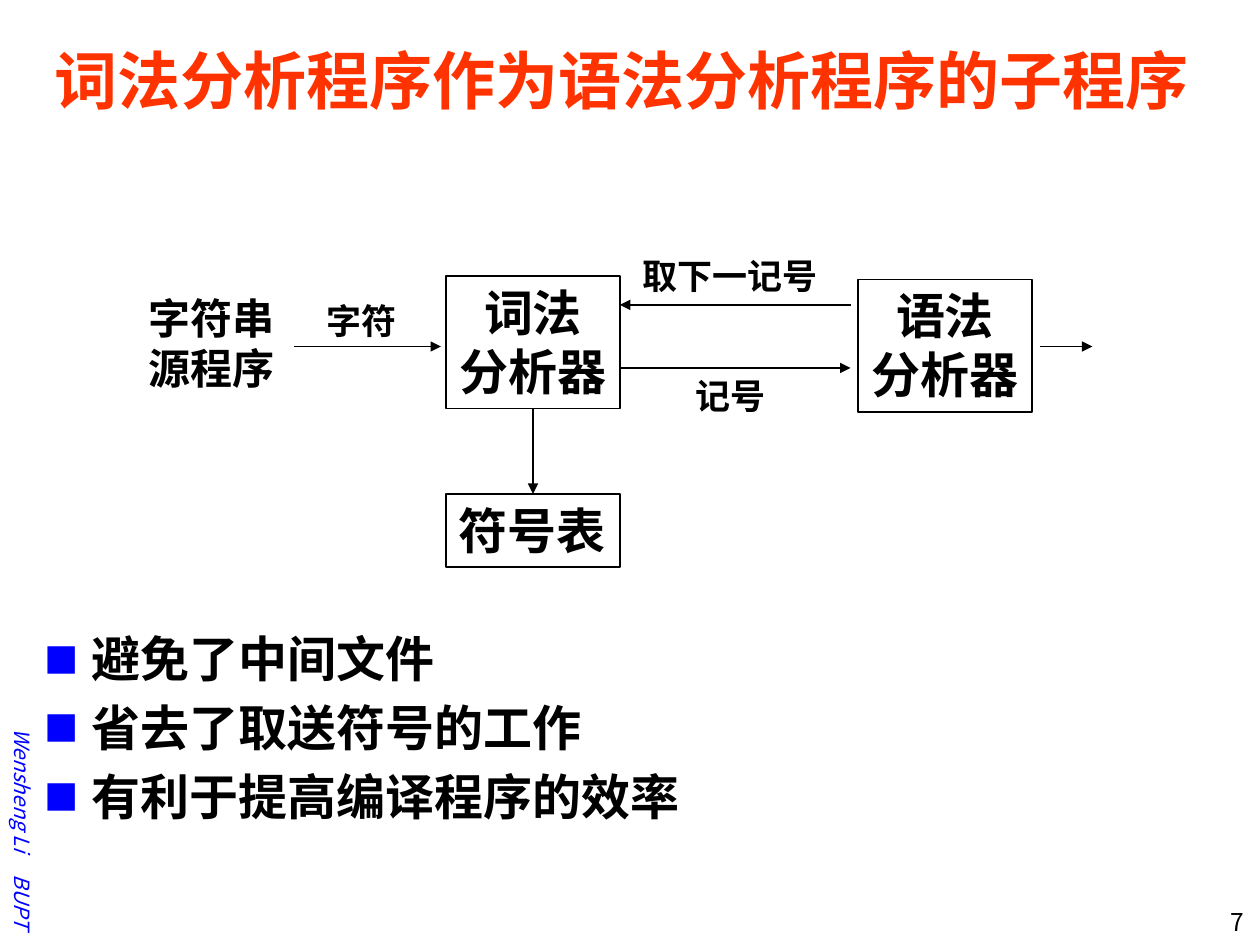
from lxml import etree
from pptx import Presentation
from pptx.dml.color import RGBColor
from pptx.enum import shapes, text
from pptx.oxml import ns
from pptx.util import Inches, Pt

BLACK = RGBColor(0x00, 0x00, 0x00)
BLUE = RGBColor(0x00, 0x00, 0xFF)
RED = RGBColor(0xFF, 0x33, 0x00)
SANS = "Noto Sans CJK SC"
SERIF = "Times New Roman"
LEFT, CENTER, RIGHT = text.PP_ALIGN.LEFT, text.PP_ALIGN.CENTER, text.PP_ALIGN.RIGHT
JUSTIFY = text.PP_ALIGN.JUSTIFY
TOP, MIDDLE = text.MSO_ANCHOR.TOP, text.MSO_ANCHOR.MIDDLE


def add_child(parent, tag, **attributes):
    return etree.SubElement(parent, ns.qn(tag), attributes)


def write_text(shape, lines, size, align=LEFT, font=SERIF, color=BLACK,
               bold=True, italic=False, anchor=TOP, wrap=False):
    frame = shape.text_frame
    frame.text = "\n".join(lines)
    frame.word_wrap = wrap
    frame.auto_size = text.MSO_AUTO_SIZE.NONE
    frame.vertical_anchor = anchor
    for paragraph in frame.paragraphs:
        paragraph.alignment = align
        paragraph.font.size = Pt(size)
        paragraph.font.bold = bold
        paragraph.font.italic = italic
        paragraph.font.color.rgb = color
        paragraph.font.name = font
        defaults = paragraph._p.get_or_add_pPr().get_or_add_defRPr()
        add_child(defaults, "a:ea", typeface=SANS)


def place(shape, left, top, width, height):
    shape.left, shape.top = Inches(left), Inches(top)
    shape.width, shape.height = Inches(width), Inches(height)


def add_label(slide, content, left, top, width, height, size, **style):
    label = slide.shapes.add_textbox(
        Inches(left), Inches(top), Inches(width), Inches(height))
    write_text(label, [content], size, **style)
    return label


def add_side_text(slide, content, bottom, width):
    center, height = 0.18, 0.3
    label = add_label(slide, content, center - width / 2,
                      bottom - width / 2 - height / 2, width, height, 12,
                      align=RIGHT, font=SANS, color=BLUE, bold=False,
                      italic=True, anchor=MIDDLE)
    label.rotation = 90


def add_box(slide, lines, left, top, height, align=CENTER):
    box = slide.shapes.add_shape(
        shapes.MSO_SHAPE.RECTANGLE,
        Inches(left), Inches(top), Inches(1.38), Inches(height))
    box.shadow.inherit = False
    box.fill.background()
    box.line.color.rgb = BLACK
    box.line.width = Pt(0.75)
    write_text(box, lines, 28, align)
    return box


def add_arrow(slide, x1, y1, x2, y2):
    arrow = slide.shapes.add_connector(
        shapes.MSO_CONNECTOR.STRAIGHT,
        Inches(x1), Inches(y1), Inches(x2), Inches(y2))
    arrow.line.color.rgb = BLACK
    arrow.line.width = Pt(0.75)
    add_child(arrow.line._get_or_add_ln(), "a:tailEnd", type="triangle")
    add_child(arrow._element.spPr, "a:effectLst")
    return arrow


def add_bullet(paragraph):
    properties = paragraph._p.get_or_add_pPr()
    properties.set("marL", str(Inches(0.38)))
    properties.set("indent", str(Inches(-0.38)))
    defaults = properties.get_or_add_defRPr()
    color = add_child(properties, "a:buClr")
    add_child(color, "a:srgbClr", val=str(BLUE))
    add_child(properties, "a:buSzPct", val="70000")
    add_child(properties, "a:buFont", typeface=SANS)
    add_child(properties, "a:buChar", char="■")
    properties.append(defaults)


def fill_placeholders(slide):
    title, body = slide.shapes.title, slide.placeholders[1]
    place(title, 0.33, 0.17, 9.42, 0.92)
    write_text(title, ["词法分析程序作为语法分析程序的子程序"], 36,
               font=SANS, color=RED, anchor=MIDDLE, wrap=True)
    place(body, 0.25, 4.94, 9.5, 2.06)
    write_text(body, ["避免了中间文件", "省去了取送符号的工作", "有利于提高编译程序的效率"],
               28, JUSTIFY, SANS, wrap=True)
    for paragraph in body.text_frame.paragraphs:
        add_bullet(paragraph)


def draw_diagram(slide):
    add_box(slide, ["语法", "分析器"], 6.81, 2.22, 1.05)
    lexer = add_box(slide, ["词法", "分析器"], 3.54, 2.19, 1.05)
    symbols = add_box(slide, ["符号表"], 3.54, 3.92, 0.58, LEFT)

    add_label(slide, "字符串", 1.08, 2.27, 1.21, 0.5, 24)
    add_label(slide, "源程序", 1.08, 2.67, 1.21, 0.5, 24)
    add_label(slide, "字符", 2.49, 2.33, 0.76, 0.43, 20)
    add_label(slide, "取下一记号", 5, 1.97, 1.6, 0.43, 20)
    add_label(slide, "记号", 5.42, 2.92, 0.76, 0.43, 20)

    add_arrow(slide, 2.33, 2.75, 3.5, 2.75)
    add_arrow(slide, 6.75, 2.42, 4.92, 2.42)
    add_arrow(slide, 4.92, 2.92, 6.75, 2.92)
    add_arrow(slide, 8.25, 2.75, 8.67, 2.75)
    lookup = add_arrow(slide, 4.23, 3.24, 4.23, 3.92)
    lookup.begin_connect(lexer, 2)
    lookup.end_connect(symbols, 0)


def main():
    presentation = Presentation()
    presentation.slide_width = Inches(10)
    presentation.slide_height = Inches(7.5)
    slide = presentation.slides.add_slide(presentation.slide_layouts[1])
    fill_placeholders(slide)
    draw_diagram(slide)
    add_side_text(slide, "Wensheng Li", 6.86, 1.3)
    add_side_text(slide, "BUPT", 7.47, 0.7)
    add_label(slide, "7", 9.18, 7.15, 0.79, 0.3, 14,
              align=RIGHT, font=SANS, bold=False, wrap=True)
    presentation.save("out.pptx")


if __name__ == "__main__":
    main()
